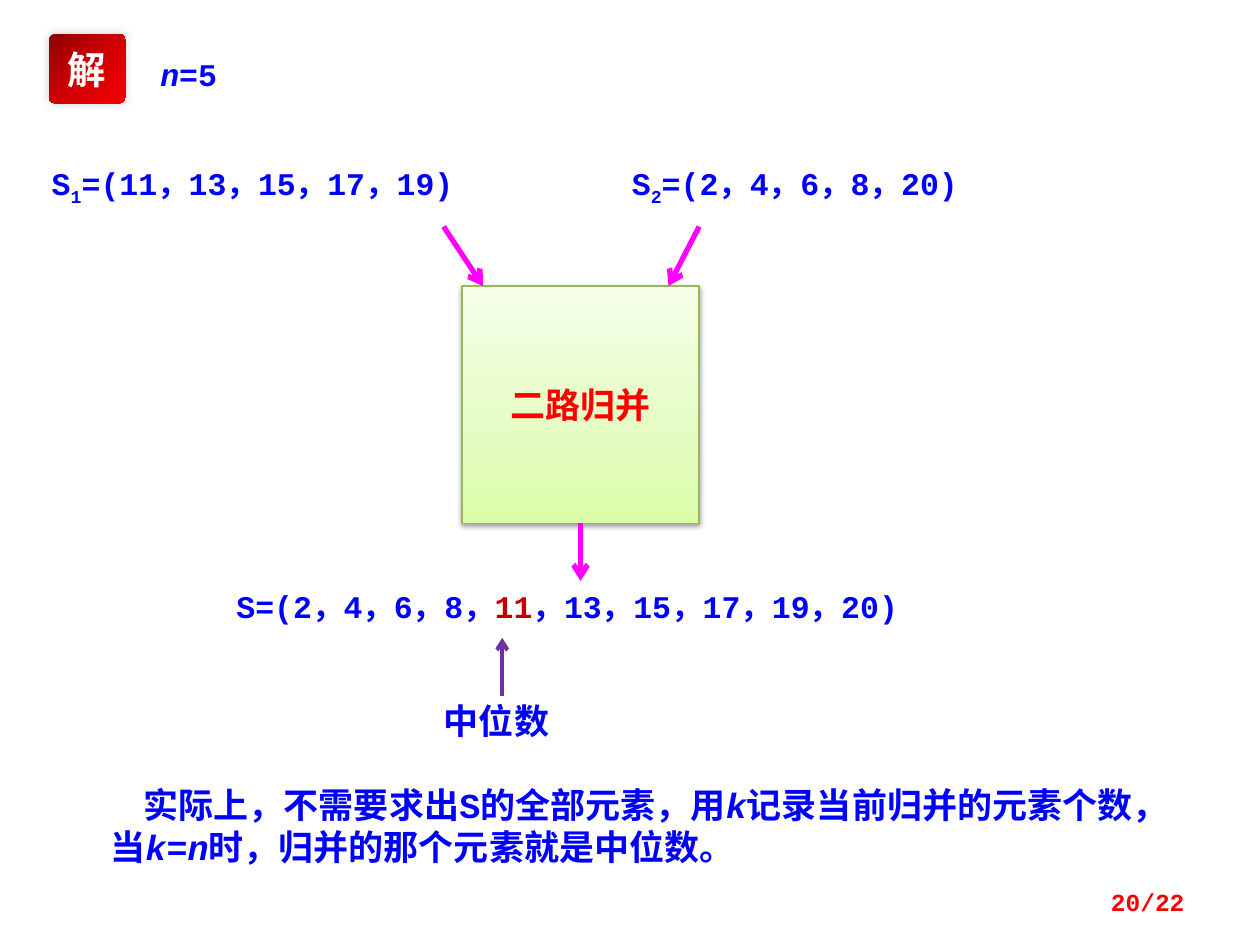
from copy import deepcopy

from lxml.etree import SubElement
from pptx import Presentation
from pptx.dml.color import RGBColor
from pptx.enum.shapes import MSO_CONNECTOR as CONNECTOR, MSO_SHAPE as SHAPE
from pptx.enum.text import MSO_ANCHOR as ANCHOR, MSO_AUTO_SIZE as AUTO_SIZE, PP_ALIGN as ALIGN
from pptx.oxml.ns import qn
from pptx.util import Pt

COLOURS = {
    "text": "0000FF", "accent": "FF0000", "median": "C00000", "white": "FFFFFF",
    "flow": "FF00FF", "pointer": "7030A0", "border": "98B955", "shadow": "000000",
}
MERGE_STOPS = [(0, "DAFDA7"), (0.35, "E4FCC2"), (1, "F5FFE7")]
BADGE_STOPS = [(0, "8F0000"), (0.5, "CF0001"), (1, "F60004")]
CODE, CHINESE = "Courier New", "Noto Sans CJK SC"


class SlideBuilder:
    def __init__(self, slide):
        self.slide = slide

    def colour(self, name):
        return RGBColor.from_string(COLOURS[name])

    def fill_text(self, shape, runs, size=18, font=CODE, colour="text", align=ALIGN.LEFT, indent=0):
        paragraph = shape.text_frame.paragraphs[0]
        paragraph.alignment = align
        if indent:
            paragraph._p.get_or_add_pPr().set("indent", str(Pt(indent)))
        style = paragraph.font
        style.size, style.bold, style.name = Pt(size), True, font
        style.color.rgb = self.colour(colour)
        SubElement(style._element, qn("a:ea")).set("typeface", CHINESE)
        for text, kind in runs:
            run = paragraph.add_run()
            run.text = text
            if kind == "italic":
                run.font.italic = True
            elif kind == "subscript":
                run.font._element.set("baseline", "-25000")
            elif kind:
                run.font.color.rgb = self.colour(kind)

    def text(self, box, runs, anchor=ANCHOR.TOP, **style):
        shape = self.slide.shapes.add_textbox(*map(Pt, box))
        frame = shape.text_frame
        frame.word_wrap = True
        frame.auto_size = AUTO_SIZE.SHAPE_TO_FIT_TEXT
        frame.vertical_anchor = anchor
        self.fill_text(shape, runs, **style)

    def panel(self, kind, box, stops, angle, shadow, runs, border=None, corner=None, **style):
        shape = self.slide.shapes.add_shape(kind, *map(Pt, box))
        if corner:
            shape.adjustments[0] = corner
        self.gradient(shape, stops, angle)
        if border:
            shape.line.color.rgb = self.colour(border)
            shape.line.width = Pt(0.75)
        else:
            shape.line.fill.background()
        self.shadow(shape, *shadow)
        shape.text_frame.vertical_anchor = ANCHOR.MIDDLE
        shape.text_frame.word_wrap = border is not None
        self.fill_text(shape, runs, font=CHINESE, align=ALIGN.CENTER, **style)
        return shape

    def gradient(self, shape, stops, angle):
        shape.fill.gradient()
        shape.fill.gradient_angle = angle
        stop_list = shape._element.spPr.find(qn("a:gradFill")).find(qn("a:gsLst"))
        stop_list.append(deepcopy(stop_list[-1]))
        for stop, (position, value) in zip(shape.fill.gradient_stops, stops):
            stop.position = position
            stop.color.rgb = RGBColor.from_string(value)

    def shadow(self, shape, opacity, blur, distance, direction):
        shape.shadow.inherit = False
        effects = shape._element.spPr.find(qn("a:effectLst"))
        outer = SubElement(effects, qn("a:outerShdw"), blurRad=str(Pt(blur)), dist=str(Pt(distance)),
                           dir=str(direction * 60000), algn="ctr", rotWithShape="0")
        tint = SubElement(outer, qn("a:srgbClr"), val=COLOURS["shadow"])
        SubElement(tint, qn("a:alpha"), val=str(opacity * 1000))

    def arrow(self, start, end, colour="flow", width=3, source=None):
        connector = self.slide.shapes.add_connector(CONNECTOR.STRAIGHT, *map(Pt, start + end))
        if source is not None:
            connector.begin_connect(source, 2)
        connector.line.color.rgb = self.colour(colour)
        connector.line.width = Pt(width)
        SubElement(connector.line._get_or_add_ln(), qn("a:tailEnd"), type="arrow")
        SubElement(connector._element.spPr, qn("a:effectLst"))


def main():
    presentation = Presentation()
    presentation.slide_width, presentation.slide_height = Pt(720), Pt(540)
    builder = SlideBuilder(presentation.slides.add_slide(presentation.slide_layouts[6]))

    sequences = [("1", 22.5, 309.5, "11，13，15，17，19"), ("2", 354, 276, "2，4，6，8，20")]
    for number, left, width, values in sequences:
        builder.text((left, 90, width, 29),
                     [("S", None), (number, "subscript"), (f"=({values})", None)])

    merge = builder.panel(SHAPE.RECTANGLE, (264, 163.5, 135.5, 135.5), MERGE_STOPS, 90,
                          (38, 3.1, 1.6, 90), [("二路归并", None)],
                          border="border", size=20, colour="accent")
    builder.arrow((253.5, 129.5), (276, 163.5))
    builder.arrow((399.5, 129.5), (382, 163.5))
    builder.arrow((331.75, 299), (331.75, 332), source=merge)

    builder.text((128, 332, 400.5, 29),
                 [("S=(2，4，6，8，", None), ("11", "median"), ("，13，15，17，19，20)", None)])
    builder.arrow((287, 398), (287, 364.5), colour="pointer", width=2.25)
    builder.text((84.5, 28, 62, 29), [("n", "italic"), ("=5", None)])
    builder.text((242, 396, 83.5, 31.5), [("中位数", None)],
                 size=20, font=CHINESE, align=ALIGN.CENTER)
    builder.text((56, 444, 608, 55.5),
                 [("实际上，不需要求出S的全部元素，用", None), ("k", "italic"),
                  ("记录当前归并的元素个数，当", None), ("k", "italic"), ("=", None),
                  ("n", "italic"), ("时，归并的那个元素就是中位数。", None)],
                 size=20, indent=19)

    builder.panel(SHAPE.ROUNDED_RECTANGLE, (28, 19.5, 43.5, 39.5), BADGE_STOPS, 315,
                  (20, 6, 0, 225), [("解", None)], corner=0.084, size=22, colour="white")
    builder.text((516, 500.5, 168, 29), [("20/22", None)], anchor=ANCHOR.MIDDLE,
                 size=14, colour="accent", align=ALIGN.RIGHT)
    presentation.save("out.pptx")


if __name__ == "__main__":
    main()
